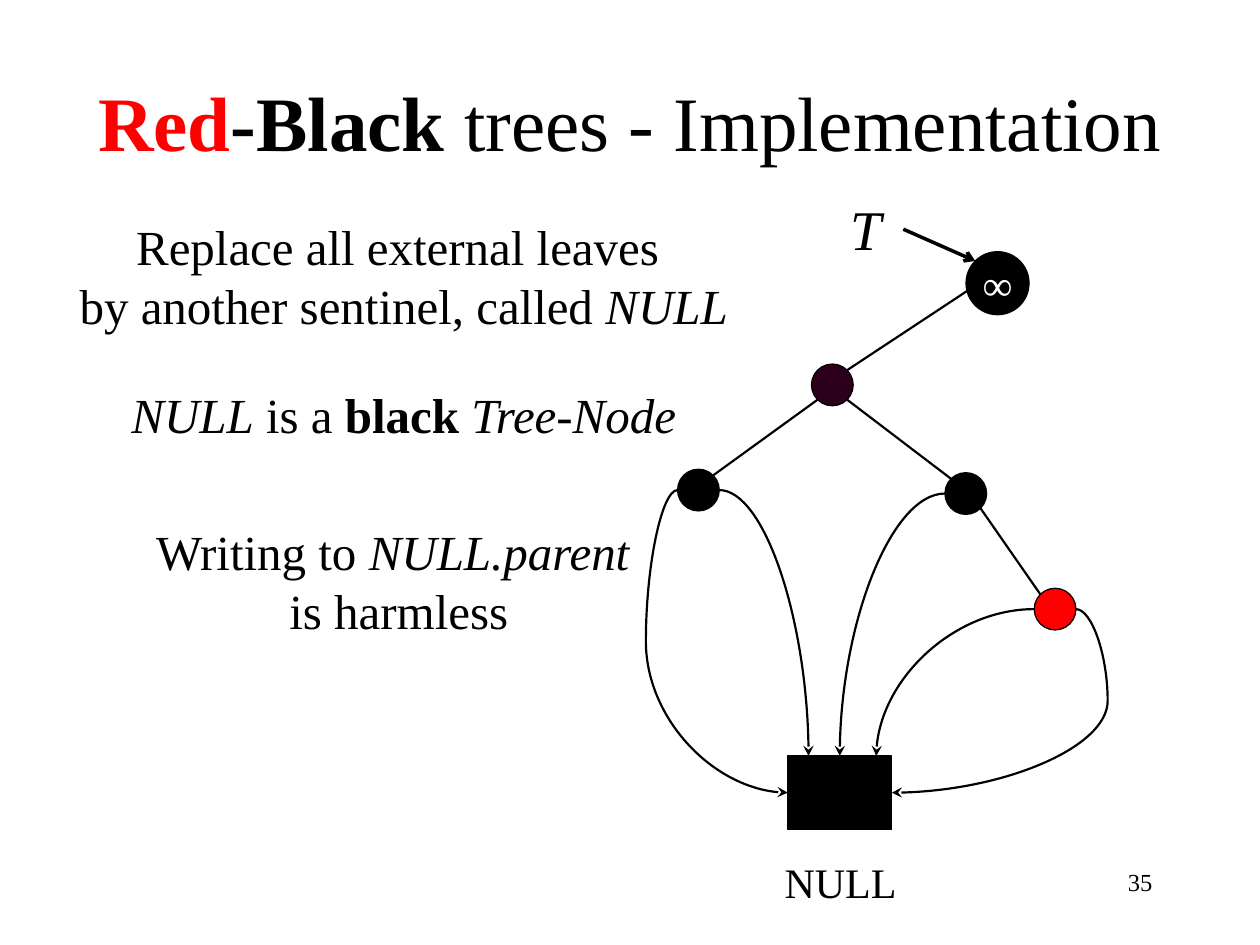
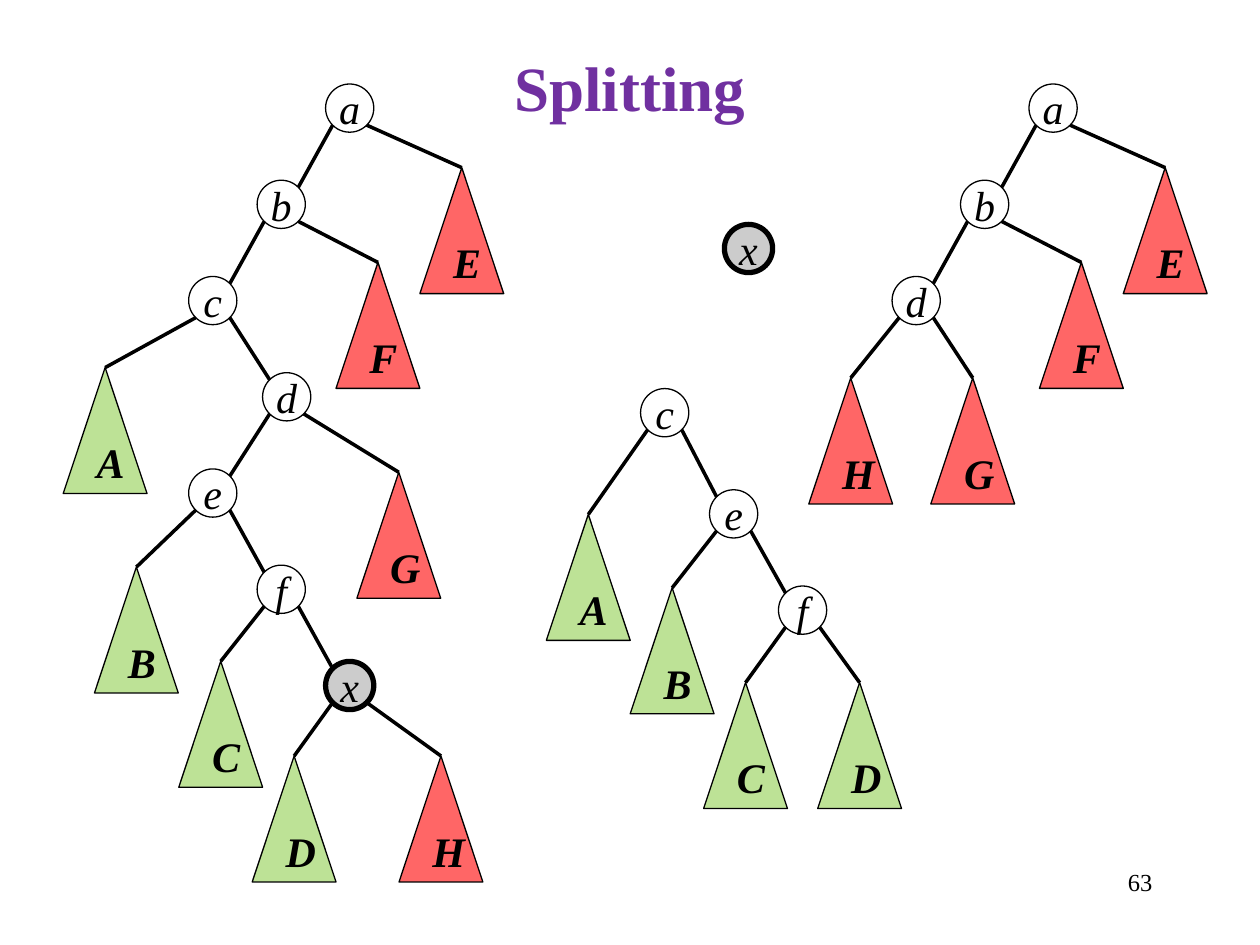
import dataclasses
import math

import lxml.etree
import pptx
import pptx.dml.color
import pptx.enum.shapes
import pptx.enum.text
import pptx.oxml.ns
import pptx.util

SHAPE = pptx.enum.shapes.MSO_SHAPE
LINK = pptx.enum.shapes.MSO_CONNECTOR
ALIGN = pptx.enum.text.PP_ALIGN
ANCHOR = pptx.enum.text.MSO_ANCHOR


@dataclasses.dataclass(frozen=True)
class Theme:
    font: str = "Times New Roman"
    black: str = "000000"
    white: str = "FFFFFF"
    red: str = "FF0000"
    plum: str = "2C001D"
    green: str = "92D050"
    grey: str = "CCCCCC"
    purple: str = "7030A0"
    title: int = 44
    head: int = 36
    mark: int = 32
    body: int = 28
    label: int = 24
    foot: int = 14
    thin: float = 0.75
    edge: float = 1.25
    bold: float = 2
    ring: float = 3


THEME = Theme()


# Basic helpers
def cm(*sizes):
    return [pptx.util.Cm(size) for size in sizes]


def paint(color, name):
    color.rgb = pptx.dml.color.RGBColor.from_string(name)


def child(parent, tag, **attrs):
    return lxml.etree.SubElement(parent, pptx.oxml.ns.qn(tag), **attrs)


def write(frame, parts, size, align=ALIGN.CENTER, anchor=ANCHOR.TOP):
    """Each part is (text, style letters, colour); a final newline breaks the line."""
    frame.vertical_anchor = anchor
    para = frame.paragraphs[0]
    para.alignment = align
    for text, style, color in parts:
        run = para.add_run()
        run.text = text.rstrip("\n")
        run.font.name = THEME.font
        run.font.size = pptx.util.Pt(size)
        run.font.bold = "b" in style
        run.font.italic = "i" in style
        paint(run.font.color, color)
        if text.endswith("\n"):
            para.add_line_break()


def add_text(slide, box, parts, size, align=ALIGN.CENTER):
    frame = slide.shapes.add_textbox(*cm(*box)).text_frame
    frame.word_wrap = True
    write(frame, parts, size, align)


def add_form(shapes, kind, box, fill, width=THEME.thin, alpha=None):
    form = shapes.add_shape(kind, *cm(*box))
    form.shadow.inherit = False
    if fill:
        form.fill.solid()
        paint(form.fill.fore_color, fill)
    else:
        form.fill.background()
    if alpha:
        tint = form.element.spPr.find(".//" + pptx.oxml.ns.qn("a:srgbClr"))
        child(tint, "a:alpha", val=str(alpha * 1000))
    paint(form.line.color, THEME.black)
    form.line.width = pptx.util.Pt(width)
    return form


def add_disc(shapes, spot, radius, fill, width=THEME.thin):
    x, y = spot
    box = x - radius, y - radius, 2 * radius, 2 * radius
    return add_form(shapes, SHAPE.OVAL, box, fill, width)


def write_disc(disc, parts):
    frame = disc.text_frame
    frame.margin_left = frame.margin_right = 0
    frame.margin_top = frame.margin_bottom = 0
    write(frame, parts, THEME.label, anchor=ANCHOR.MIDDLE)


def rim(spot, radius, dx, dy):
    """Point of a circle in the direction (dx, dy)."""
    scale = radius / math.hypot(dx, dy)
    return spot[0] + dx * scale, spot[1] + dy * scale


def add_line(shapes, start, end, width, tail=None, kind=LINK.STRAIGHT):
    line = shapes.add_connector(kind, *cm(*start, *end))
    paint(line.line.color, THEME.black)
    line.line.width = pptx.util.Pt(width)
    props = line.element.spPr
    if tail:
        child(props.find(pptx.oxml.ns.qn("a:ln")), "a:tailEnd", type=tail)
    child(props, "a:effectLst")
    return line


def add_curve(shapes, start, end, bulge=None):
    """Curve that leaves sideways; with a bulge it also arrives sideways."""
    line = add_line(shapes, start, end, THEME.edge, "stealth", LINK.CURVE)
    shape = line.element.spPr.find(pptx.oxml.ns.qn("a:prstGeom"))
    if bulge is None:
        shape.set("prst", "curvedConnector2")
    else:
        ratio = round(-100000 * bulge / abs(end[0] - start[0]))
        guides = shape.find(pptx.oxml.ns.qn("a:avLst"))
        child(guides, "a:gd", name="adj1", fmla=f"val {ratio}")


# Shared frame of every slide
def add_slide(deck, parts, size, height, anchor, number):
    slide = deck.slides.add_slide(deck.slide_layouts[5])
    title = slide.shapes.title
    title.left, title.top, title.width, title.height = cm(0, 0.85, 25.4, height)
    title.text_frame.auto_size = pptx.enum.text.MSO_AUTO_SIZE.NONE
    write(title.text_frame, parts, size, anchor=anchor)
    add_text(slide, (18.2, 17.35, 5.28, 1.27), [(number, "", THEME.black)],
             THEME.foot, ALIGN.RIGHT)
    return slide


# Sentinel slide
def add_notes(slide, left, top):
    black = THEME.black
    notes = [
        (0.1, 0, 2.64, [("Replace all external leaves \n", "", black),
                        ("by another sentinel, called ", "", black),
                        ("NULL", "i", black)]),
        (0.1, 3.38, 1.45, [("NULL", "i", black), (" is a ", "", black),
                           ("black ", "b", black), ("Tree-Node", "i", black)]),
        (0, 6.15, 2.64, [("Writing to ", "", black), ("NULL.parent \n", "i", black),
                         ("is harmless", "", black)]),
    ]
    for x, y, height, parts in notes:
        add_text(slide, (left + x, top + y, 16.08, height), parts, THEME.body)


def add_links(slide, left, top):
    shapes = slide.shapes

    def at(x, y):
        return left + x, top + y

    small, large = 0.42, 0.635
    crown, root = at(7.11, 1.91), at(3.78, 3.96)
    west, east, leaf = at(1.08, 6.08), at(6.47, 6.15), at(8.27, 8.48)

    # Tree edges
    for start, end in [
        (rim(east, small, 1, 1), rim(leaf, small, -1, -1)),
        (rim(west, small, 1, -1), rim(root, small, -1, 1)),
        (rim(east, small, -1, -1), rim(root, small, 1, 1)),
        (rim(root, small, 1, -1), at(6.61, 1.99)),
    ]:
        add_line(shapes, start, end, THEME.edge)

    # Tree nodes
    for spot, fill in [(west, THEME.black), (root, THEME.plum),
                       (east, THEME.black), (leaf, THEME.red)]:
        add_disc(shapes, spot, small, fill)
    write_disc(add_disc(shapes, crown, large, THEME.black), [("∞", "", THEME.white)])

    # Shared NULL node and the pointers to it
    (x, y), wide, high = at(2.88, 11.44), 2.1, 1.48
    add_form(shapes, SHAPE.RECTANGLE, (x, y, wide, high), THEME.black)
    for spot, side, share in [(west, 1, 0.2), (east, -1, 0.5), (leaf, -1, 0.85)]:
        add_curve(shapes, rim(spot, small, side, 0), (x + share * wide, y))
    for spot, side, edge in [(west, -1, x), (leaf, 1, x + wide)]:
        add_curve(shapes, rim(spot, small, side, 0), (edge, y + high / 2), 0.64)
    add_text(slide, (*at(2.04, 13.35), 3.81, 1.27), [("NULL", "", THEME.black)],
             THEME.label)

    # Pointer to the tree
    add_text(slide, (*at(3.72, 0), 1.47, 1.63), [("T", "i", THEME.black)], THEME.mark)
    add_line(shapes, at(5.21, 0.82), rim(crown, large, -1, -1), THEME.bold, "arrow")


# Splitting slide
RADIUS = 0.486
STEP = 1.94
LEFT_PART = "ABCD"


def add_node(shapes, name, spot):
    if name == "x":
        disc = add_disc(shapes, spot, RADIUS, THEME.grey, THEME.ring)
    else:
        disc = add_disc(shapes, spot, RADIUS, None)
    write_disc(disc, [(name, "i", THEME.black)])


def add_part(shapes, name, peak):
    wide, high = 1.69, 2.54
    fill = THEME.green if name in LEFT_PART else THEME.red
    box = peak[0] - wide / 2, peak[1], wide, high
    form = add_form(shapes, SHAPE.ISOSCELES_TRIANGLE, box, fill, alpha=60)
    write(form.text_frame, [(name, "bi", THEME.black)], THEME.label)


def add_tree(slide, left, top, spots, edges):
    """Small letters are nodes (centre), capitals are subtrees (peak)."""
    shapes = slide.shapes.add_group_shape().shapes
    spots = {name: (left + x, top + y) for name, (x, y) in spots.items()}
    for name, spot in spots.items():
        (add_node if name.islower() else add_part)(shapes, name, spot)
    for upper, lower in edges.split():
        start, end = spots[upper], spots[lower]
        side = math.copysign(1, end[0] - start[0])
        if lower.islower():
            end = rim(end, RADIUS, -side, -1)
        add_line(shapes, rim(start, RADIUS, side, 1), end, THEME.bold)


def add_trees(slide, left, top):
    centres = zip("abcdefx", [5.78, 4.4, 3.02, 4.51, 3.02, 4.4, 5.78])
    whole = {name: (x, 0.49 + row * STEP) for row, (name, x) in enumerate(centres)}
    whole.update(A=(0.85, 5.72), B=(1.48, 9.74), C=(3.18, 11.64), D=(4.66, 13.55),
                 E=(8.04, 1.69), F=(6.35, 3.6), G=(6.77, 7.83), H=(7.62, 13.55))
    add_tree(slide, left, top, whole, "ab bc cd de ef fx aE bF cA dG eB fC xD xH")

    lesser = dict(c=(2.39, 0.49), e=(3.78, 2.53), f=(5.17, 4.47), A=(0.85, 2.54),
                  B=(2.54, 4.02), C=(4.02, 5.93), D=(6.32, 5.93))
    add_tree(slide, left + 9.74, top + 6.14, lesser, "ce ef cA eB fC fD")

    greater = {name: whole[name] for name in "abEF"}
    greater.update(d=whole["c"], H=(1.7, 5.93), G=(4.16, 5.93))
    add_tree(slide, left + 14.18, top, greater, "ab bd aE bF dH dG")

    add_node(slide.shapes, "x", (left + 13.82, top + 3.32))


def main():
    deck = pptx.Presentation()
    deck.slide_width, deck.slide_height = cm(25.4, 19.05)

    heading = [("Red", "b", THEME.red), ("-Black", "b", THEME.black),
               (" trees - Implementation", "", THEME.black)]
    slide = add_slide(deck, heading, THEME.title, 3.18, ANCHOR.MIDDLE, "35")
    add_notes(slide, 0, 4.24)
    add_links(slide, 13, 3.8)

    heading = [("Splitting", "b", THEME.purple)]
    slide = add_slide(deck, heading, THEME.head, 1.69, ANCHOR.TOP, "63")
    add_trees(slide, 1.27, 1.69)

    deck.save("out.pptx")


if __name__ == "__main__":
    main()
